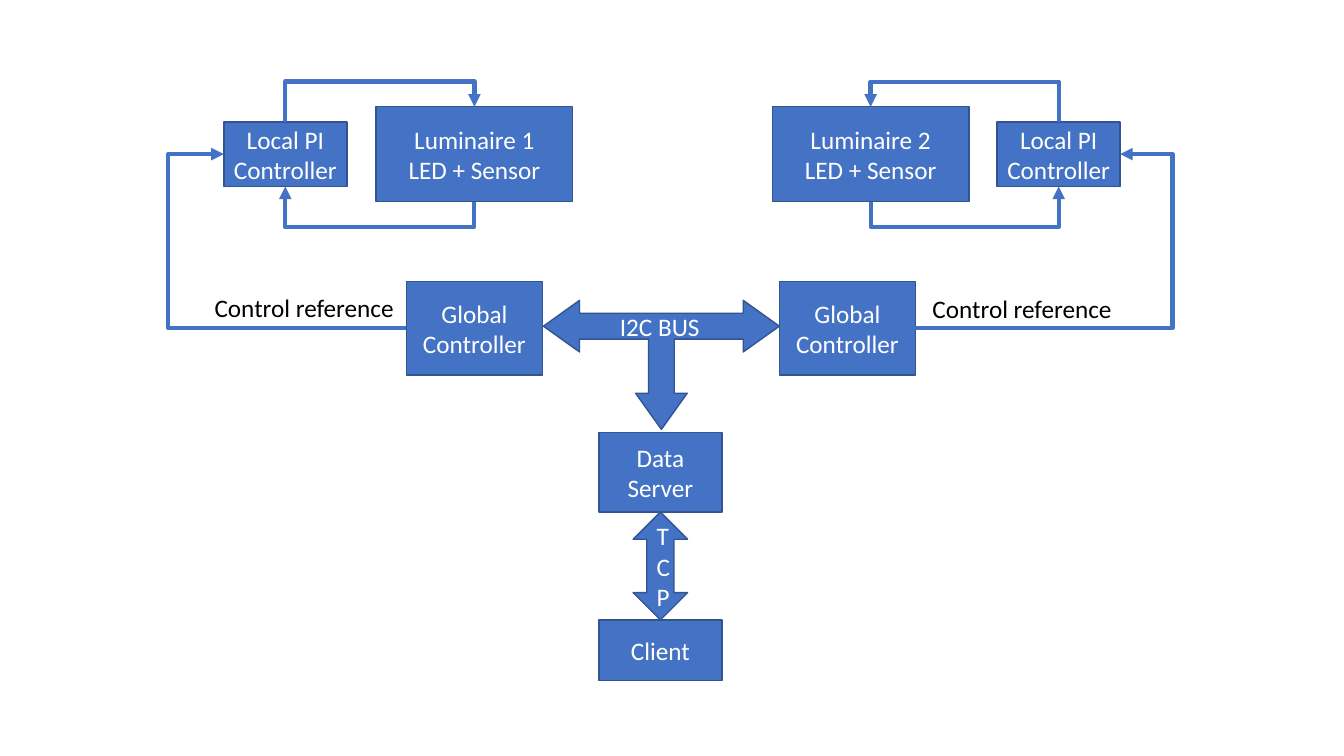
from dataclasses import dataclass

from lxml import etree
from pptx import Presentation
from pptx import util as u
from pptx.dml.color import RGBColor
from pptx.enum import shapes, text
from pptx.oxml.ns import qn

# Content: lengths in px, 100 px to the inch; boxes are left, top, width, height
SLIDE = (1333, 750)
LUMINAIRES = [
    (["Luminaire 1", "LED + Sensor"], (373, 106, 195, 94)),
    (["Luminaire 2", "LED + Sensor"], (766, 106, 195, 94)),
]
LOCAL_CONTROLLERS = [
    (["Local PI Controller"], (222, 121, 122, 64)),
    (["Local PI Controller"], (989, 121, 122, 64)),
]
GLOBAL_CONTROLLERS = [
    (["Global Controller"], (403, 279, 135, 93)),
    (["Global Controller"], (773, 279, 135, 93)),
]
SERVERS = [
    (["Data Server"], (594, 429, 122, 79)),
    (["Client"], (594, 615, 122, 60)),
]
REFERENCE_LANES = [167, 1163]  # x of the outer vertical runs
LOOP_GAP = 25  # feedback loops run this far above and below a luminaire
BUS = (539, 298, 234, 128)
BUS_PROPORTIONS = (0.2, 0.2, 0.28)
TCP = (["TCP"], (628, 508, 54, 107))
LABELS = [
    ("Control reference", (203, 285, 200, 40), "dark"),
    ("Control reference", (915, 286, 200, 40), "dark"),
    ("I2C BUS", (605, 304, 100, 40), "light"),
]


@dataclass(frozen=True)
class Theme:
    fill: RGBColor = RGBColor(0x44, 0x72, 0xC4)
    outline: RGBColor = RGBColor(0x32, 0x54, 0x91)
    light: RGBColor = RGBColor(0xFF, 0xFF, 0xFF)
    dark: RGBColor = RGBColor(0, 0, 0)
    font: str = "Calibri"
    size: int = 18
    outline_width: int = 1
    link_width: int = 3


THEME = Theme()
KIND = shapes.MSO_SHAPE


def px(length):
    return u.Emu(round(length * 9144))


def write(paragraph, words, color):
    run = paragraph.add_run()
    run.text = words
    run.font.name = THEME.font
    run.font.size = u.Pt(THEME.size)
    run.font.color.rgb = color


def add_block(slide, kind, lines, box):
    block = slide.shapes.add_shape(kind, *map(px, box))
    block.shadow.inherit = False
    block.fill.solid()
    block.fill.fore_color.rgb = THEME.fill
    block.line.color.rgb = THEME.outline
    block.line.width = u.Pt(THEME.outline_width)
    frame = block.text_frame
    frame.word_wrap = True
    frame.vertical_anchor = text.MSO_ANCHOR.MIDDLE
    for i, line in enumerate(lines):
        paragraph = frame.add_paragraph() if i else frame.paragraphs[0]
        paragraph.alignment = text.PP_ALIGN.CENTER
        write(paragraph, line, THEME.light)
    return block


def add_label(slide, words, box, tone):
    frame = slide.shapes.add_textbox(*map(px, box)).text_frame
    frame.word_wrap = False
    frame.auto_size = text.MSO_AUTO_SIZE.SHAPE_TO_FIT_TEXT
    write(frame.paragraphs[0], words, getattr(THEME, tone))


def add_link(slide, start, end, lane, vertical=False):
    """Elbow arrow whose middle run lies at lane (y if vertical, else x)."""
    axis = 1 if vertical else 0
    bend = (lane - start[axis]) / (end[axis] - start[axis])
    if vertical:  # lay the path out sideways, then turn it a quarter
        mid_x, mid_y = (start[0] + end[0]) / 2, (start[1] + end[1]) / 2
        half_x, half_y = (end[1] - start[1]) / 2, (start[0] - end[0]) / 2
        start = (mid_x - half_x, mid_y - half_y)
        end = (mid_x + half_x, mid_y + half_y)
    link = slide.shapes.add_connector(
        shapes.MSO_CONNECTOR.ELBOW, *map(px, (*start, *end)))
    link.line.color.rgb = THEME.fill
    link.line.width = u.Pt(THEME.link_width)
    properties = link._element.spPr
    if vertical:
        properties.find(qn("a:xfrm")).set("rot", "5400000")
    guides = properties.find(qn("a:prstGeom")).get_or_add_avLst()
    etree.SubElement(guides, qn("a:gd"), name="adj1",
                     fmla=f"val {round(bend * 100000)}")
    etree.SubElement(properties.find(qn("a:ln")), qn("a:tailEnd"),
                     type="triangle")
    etree.SubElement(properties, qn("a:effectLst"))


def sides(box):
    """Midpoints of the left, top, right and bottom sides."""
    x, y, w, h = box
    return (x, y + h / 2), (x + w / 2, y), (x + w, y + h / 2), (x + w / 2, y + h)


def main():
    deck = Presentation()
    deck.slide_width, deck.slide_height = map(px, SLIDE)
    slide = deck.slides.add_slide(deck.slide_layouts[6])

    # Luminaires, controllers and servers
    for lines, box in LUMINAIRES + LOCAL_CONTROLLERS + GLOBAL_CONTROLLERS + SERVERS:
        add_block(slide, KIND.RECTANGLE, lines, box)

    # Feedback loops and control references; the outer side is left, then right
    groups = zip(LUMINAIRES, LOCAL_CONTROLLERS, GLOBAL_CONTROLLERS,
                 REFERENCE_LANES, (0, 2))
    for luminaire, local, main_control, lane, outer in groups:
        lamp, pi, hub = (sides(part[1]) for part in (luminaire, local, main_control))
        add_link(slide, pi[1], lamp[1], lamp[1][1] - LOOP_GAP, vertical=True)
        add_link(slide, lamp[3], pi[3], lamp[3][1] + LOOP_GAP, vertical=True)
        add_link(slide, hub[outer], pi[outer], lane)

    # Bus arrow, pointing down to the data server
    bus = add_block(slide, KIND.LEFT_RIGHT_UP_ARROW, [], BUS)
    bus._element.spPr.find(qn("a:xfrm")).set("flipV", "1")
    for i, share in enumerate(BUS_PROPORTIONS):
        bus.adjustments[i] = share

    # Server to client arrow, then the free labels
    add_block(slide, KIND.UP_DOWN_ARROW, *TCP)
    for label in LABELS:
        add_label(slide, *label)

    deck.save("out.pptx")


if __name__ == "__main__":
    main()
